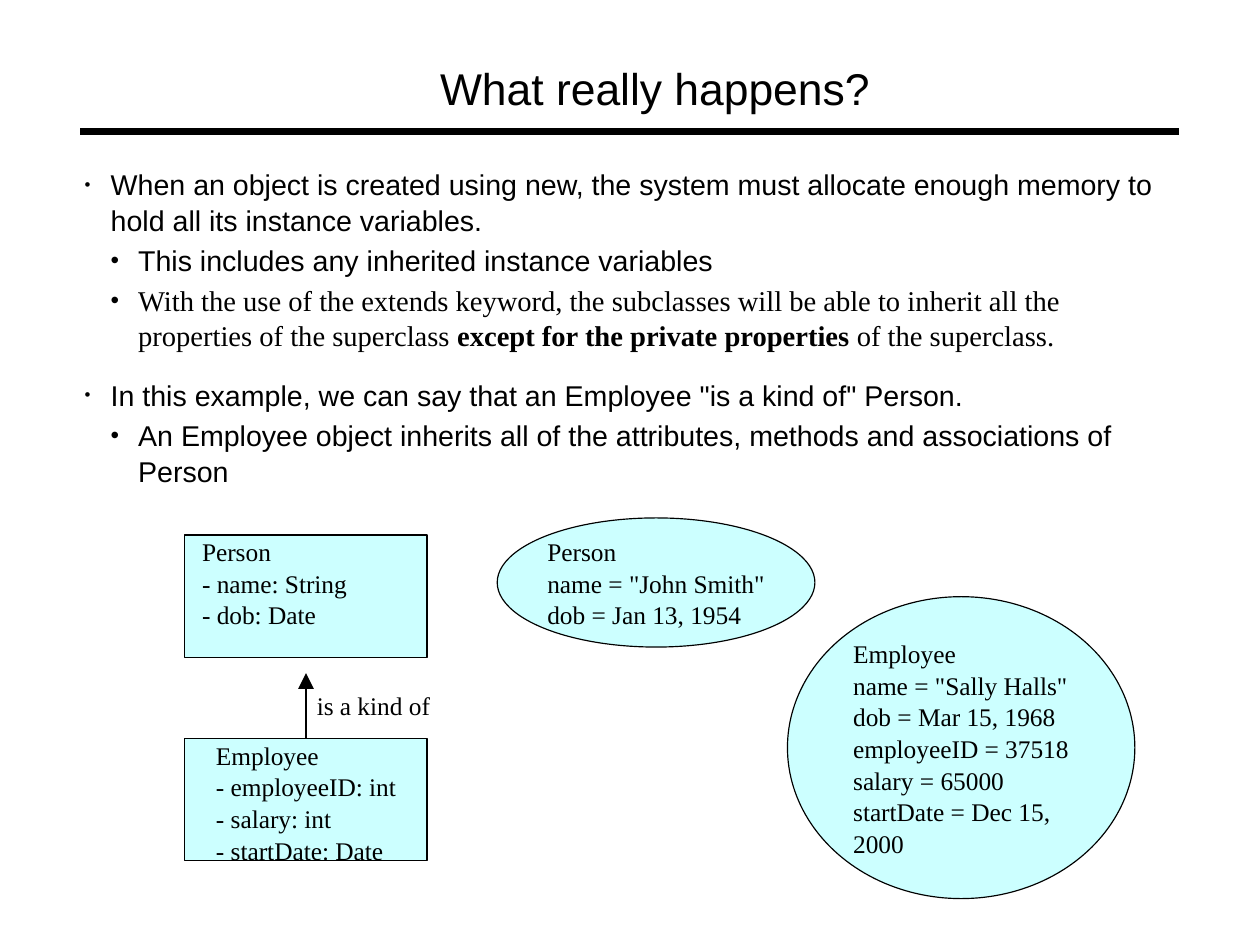
"""Build a slide on what an object inherits from its superclass."""
from dataclasses import dataclass

from lxml import etree
from pptx import Presentation
from pptx import util as u
from pptx.dml.color import RGBColor
from pptx.enum import shapes, text
from pptx.oxml.ns import qn


@dataclass(frozen=True)
class Theme:
    ink: str = "000000"
    fill: str = "CCFFFF"
    sans: str = "Arial"
    serif: str = "Times New Roman"
    title_size: float = 28
    body_size: float = 18
    label_size: float = 16
    rule_width: float = 4.3
    outline_width: float = 0.75
    line_spacing: float = 1.04


@dataclass(frozen=True)
class Box:
    left: float
    top: float
    width: float
    height: float


@dataclass(frozen=True)
class Bullet:
    level: int
    runs: tuple[tuple[str, bool], ...]
    font: str
    space_before: float = 2.8


@dataclass(frozen=True)
class Node:
    kind: shapes.MSO_SHAPE
    box: Box
    inset: float
    lines: tuple[str, ...]


THEME = Theme()
INDENTS = ((0.58, 0.58, 59), (1.19, 0.61, 85))
TITLE_BOX = Box(9.78, 1.32, 10.21, 1.19)
BODY_BOX = Box(1.88, 3.68, 23.8, 6.91)
LABEL_BOX = Box(7.04, 15.32, 2.51, 0.69)
RULE = (1.78, 2.92, 26.19, 2.92)
ARROW_TIP = 14.96

BULLETS = (
    Bullet(0, (("When an object is created using new, the system must allocate enough "
                "memory to hold all its instance variables.", False),), THEME.sans, 0),
    Bullet(1, (("This includes any inherited instance variables", False),), THEME.sans),
    Bullet(1, (("With the use of the extends keyword, the subclasses will be able to "
                "inherit all the properties of the superclass ", False),
               ("except for the private properties ", True),
               ("of the superclass.", False)), THEME.serif),
    Bullet(0, (('In this example, we can say that an Employee "is a kind of" Person.',
                False),), THEME.sans, 15),
    Bullet(1, (("An Employee object inherits all of the attributes, methods and "
                "associations of Person", False),), THEME.sans),
)

PERSON_CLASS = Node(shapes.MSO_SHAPE.RECTANGLE, Box(4.11, 11.89, 5.38, 2.72), 0.38,
                    ("Person", "- name: String", "- dob: Date"))
EMPLOYEE_CLASS = Node(shapes.MSO_SHAPE.RECTANGLE, Box(4.11, 16.41, 5.38, 2.72), 0.69,
                      ("Employee", "- employeeID: int", "- salary: int",
                       "- startDate: Date"))
OBJECTS = (
    Node(shapes.MSO_SHAPE.OVAL, Box(11.05, 11.51, 7.06, 2.87), 0.08,
         ("Person", 'name = "John Smith"', "dob = Jan 13, 1954")),
    Node(shapes.MSO_SHAPE.OVAL, Box(17.5, 13.26, 7.72, 6.71), 0.33,
         ("Employee", 'name = "Sally Halls"', "dob = Mar 15, 1968",
          "employeeID = 37518", "salary = 65000", "startDate = Dec 15, 2000")),
)


def place(shape, box: Box) -> None:
    shape.left, shape.top = u.Cm(box.left), u.Cm(box.top)
    shape.width, shape.height = u.Cm(box.width), u.Cm(box.height)


def prepare_frame(shape, inset: float = 0, anchor=text.MSO_ANCHOR.TOP, wrap: bool = True):
    frame = shape.text_frame
    frame.word_wrap = wrap
    frame.auto_size = text.MSO_AUTO_SIZE.NONE
    frame.vertical_anchor = anchor
    frame.margin_left = u.Cm(inset)
    frame.margin_top = frame.margin_right = frame.margin_bottom = 0
    return frame


def next_paragraph(frame, index: int):
    paragraph = frame.add_paragraph() if index else frame.paragraphs[0]
    paragraph.alignment = text.PP_ALIGN.LEFT
    paragraph.line_spacing = THEME.line_spacing
    return paragraph


def add_run(paragraph, words: str, size: float, font: str, bold: bool = False) -> None:
    run = paragraph.add_run()
    run.text = words
    run.font.size = u.Pt(size)
    run.font.name = font
    run.font.bold = bold
    run.font.color.rgb = RGBColor.from_string(THEME.ink)


def add_lines(frame, lines: tuple[str, ...], size: float, font: str) -> None:
    for index, line in enumerate(lines):
        add_run(next_paragraph(frame, index), line, size, font)


def set_bullet(paragraph, level: int) -> None:
    margin, hanging, percent = INDENTS[level]
    paragraph.level = level
    properties = paragraph._p.get_or_add_pPr()
    properties.set("marL", str(u.Cm(margin)))
    properties.set("indent", str(-u.Cm(hanging)))
    color = etree.SubElement(properties, qn("a:buClr"))
    etree.SubElement(color, qn("a:srgbClr"), val=THEME.ink)
    etree.SubElement(properties, qn("a:buSzPct"), val=str(percent * 1000))
    etree.SubElement(properties, qn("a:buFont"), typeface=THEME.sans)
    etree.SubElement(properties, qn("a:buChar"), char="•")


def add_bullets(frame, bullets: tuple[Bullet, ...]) -> None:
    for index, bullet in enumerate(bullets):
        paragraph = next_paragraph(frame, index)
        paragraph.space_before = u.Pt(bullet.space_before)
        set_bullet(paragraph, bullet.level)
        for words, bold in bullet.runs:
            add_run(paragraph, words, THEME.body_size, bullet.font, bold)


def add_node(slide, node: Node):
    box = node.box
    shape = slide.shapes.add_shape(node.kind, u.Cm(box.left), u.Cm(box.top),
                                   u.Cm(box.width), u.Cm(box.height))
    shape.shadow.inherit = False
    shape.fill.solid()
    shape.fill.fore_color.rgb = RGBColor.from_string(THEME.fill)
    shape.line.color.rgb = RGBColor.from_string(THEME.ink)
    shape.line.width = u.Pt(THEME.outline_width)
    is_oval = node.kind == shapes.MSO_SHAPE.OVAL
    anchor = text.MSO_ANCHOR.MIDDLE if is_oval else text.MSO_ANCHOR.TOP
    add_lines(prepare_frame(shape, node.inset, anchor), node.lines,
              THEME.label_size, THEME.serif)
    return shape


def add_line(slide, ends: tuple[float, float, float, float], width: float):
    line = slide.shapes.add_connector(shapes.MSO_CONNECTOR.STRAIGHT,
                                      *(u.Cm(value) for value in ends))
    line.line.color.rgb = RGBColor.from_string(THEME.ink)
    line.line.width = u.Pt(width)
    etree.SubElement(line._element.spPr, qn("a:effectLst"))
    return line


def main() -> None:
    presentation = Presentation()
    presentation.slide_width, presentation.slide_height = u.Cm(28), u.Cm(21)
    slide = presentation.slides.add_slide(presentation.slide_layouts[1])
    title, body = slide.shapes.title, slide.placeholders[1]

    add_line(slide, RULE, THEME.rule_width)
    place(title, TITLE_BOX)
    add_lines(prepare_frame(title), ("What really happens?",), THEME.title_size, THEME.sans)
    place(body, BODY_BOX)
    add_bullets(prepare_frame(body), BULLETS)

    add_node(slide, PERSON_CLASS)
    employee = add_node(slide, EMPLOYEE_CLASS)
    box = EMPLOYEE_CLASS.box
    middle = box.left + box.width / 2
    arrow = add_line(slide, (middle, box.top, middle, ARROW_TIP), THEME.outline_width)
    arrow.begin_connect(employee, 0)
    etree.SubElement(arrow.line._get_or_add_ln(), qn("a:tailEnd"), type="triangle",
                     w="lg", len="lg")
    for node in OBJECTS:
        add_node(slide, node)

    label = slide.shapes.add_textbox(0, 0, 0, 0)
    place(label, LABEL_BOX)
    add_lines(prepare_frame(label, wrap=False), ("is a kind of",),
              THEME.label_size, THEME.serif)
    presentation.save("out.pptx")


if __name__ == "__main__":
    main()
